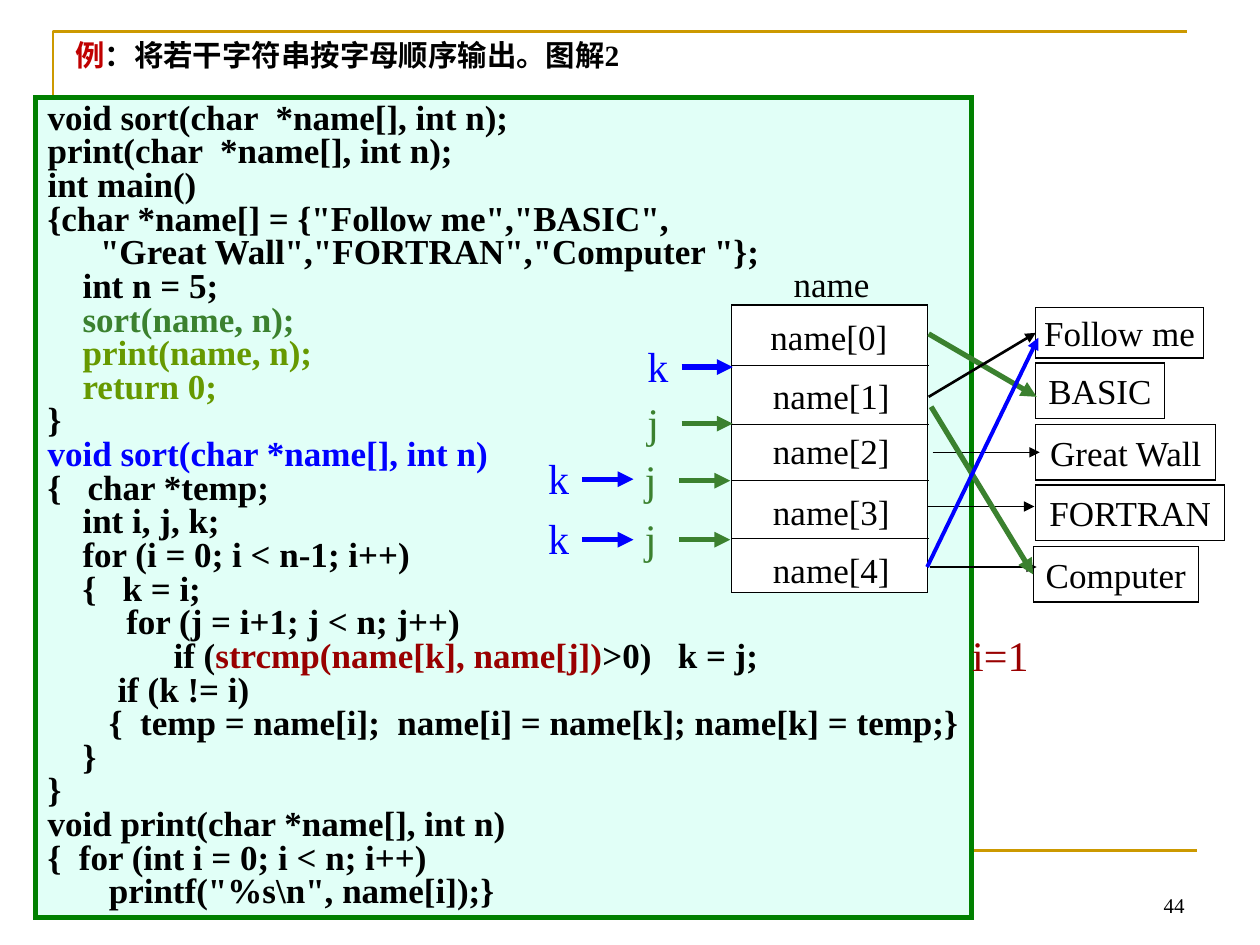
from typing import NamedTuple

from lxml import etree
from pptx import Presentation
from pptx.dml.color import RGBColor
from pptx.enum.shapes import MSO_CONNECTOR, MSO_SHAPE
from pptx.enum.text import MSO_ANCHOR, MSO_AUTO_SIZE, PP_ALIGN
from pptx.oxml.ns import qn
from pptx.util import Cm, Pt

STRAIGHT, RECTANGLE = MSO_CONNECTOR.STRAIGHT, MSO_SHAPE.RECTANGLE
TOP, MIDDLE, BOTTOM = MSO_ANCHOR.TOP, MSO_ANCHOR.MIDDLE, MSO_ANCHOR.BOTTOM
LEFT, CENTER, RIGHT = PP_ALIGN.LEFT, PP_ALIGN.CENTER, PP_ALIGN.RIGHT
NO_FIT = MSO_AUTO_SIZE.NONE
LEFT_SIDE = 1

FONT, CHINESE_FONT = "Times New Roman", "Noto Sans CJK SC"
COLORS = {
    "black": "000000", "white": "FFFFFF", "gold": "CC9900", "mint": "E1FFF7",
    "border": "008000", "green": "3B812F", "olive": "669900", "blue": "0000FF",
    "red": "990000", "title red": "C00000",
}


class Run(NamedTuple):
    text: str
    color: str = "black"


class StringBox(NamedTuple):
    text: str
    left: float
    top: float
    width: float
    height: float = 1.12


class Pointer(NamedTuple):
    """An index letter followed by a short arrow."""
    letter: str
    left: float
    top: float


class Arrow(NamedTuple):
    start: tuple[float, float]
    end: tuple[float, float]
    color: str = "black"
    weight: float = 0.75
    target: str = ""


CODE = [
    [Run("void sort(char  *name[], int n);")],
    [Run("print(char  *name[], int n);")],
    [Run("int main()")],
    [Run('{char *name[] = {"Follow me","BASIC",')],
    [Run('      "Great Wall","FORTRAN","Computer "};')],
    [Run("    int n = 5;")],
    [Run("    sort(name, n);", "green")],
    [Run("    print(name, n);", "olive")],
    [Run("    return 0;", "olive")],
    [Run("}")],
    [Run("void sort(char *name[], int n)", "blue")],
    [Run("{   char *temp;")],
    [Run("    int i, j, k;")],
    [Run("    for (i = 0; i < n-1; i++)")],
    [Run("    {   k = i;")],
    [Run("         for (j = i+1; j < n; j++)")],
    [Run("\tif ("), Run("strcmp(name[k], name[j])", "red"), Run(">0)   k = j;")],
    [Run("        if (k != i)")],
    [Run("       {  temp = name[i];  name[i] = name[k]; name[k] = temp;}")],
    [Run("    }")],
    [Run("}")],
    [Run("void print(char *name[], int n)")],
    [Run("{  for (int i = 0; i < n; i++)")],
    [Run('       printf("%s\\n", name[i]);}')],
]
TITLE = [[Run("例", "title red"), Run("：将若干字符串按字母顺序输出。图解2")]]
ROW_LINES = [7.37, 8.56, 9.68, 10.85]
ROW_LABEL_TOPS = [6.22, 7.42, 8.53, 9.75, 10.92]
STRING_BOXES = [
    StringBox("Follow me", 20.88, 6.2, 3.38, 1.02),
    StringBox("BASIC", 20.88, 7.32, 2.59),
    StringBox("Great Wall", 20.88, 8.56, 3.63),
    StringBox("FORTRAN", 20.88, 9.78, 3.81),
    StringBox("Computer", 20.83, 11.02, 3.33),
]
POINTER_COLORS = {"k": "blue", "j": "green"}
POINTERS = [
    Pointer("k", 12.8, 6.73), Pointer("k", 10.8, 8.99), Pointer("j", 12.8, 7.87),
    Pointer("j", 12.75, 9.02), Pointer("j", 12.75, 10.21), Pointer("k", 10.8, 10.21),
]
ARROWS = [
    Arrow((18.8, 9.12), (20.96, 9.12)),
    Arrow((18.69, 10.21), (20.85, 10.21)),
    Arrow((18.75, 11.43), (20.9, 11.43)),
    Arrow((18.72, 6.73), (20.9, 8), "green", 3),
    Arrow((18.72, 8), (20.88, 6.71), "black", 1.5, "Follow me"),
    Arrow((18.77, 8.2), (20.83, 11.58), "green", 3, "Computer"),
    Arrow((18.69, 11.43), (20.93, 6.81), "blue", 2.25),
]


def rgb(name: str) -> RGBColor:
    return RGBColor.from_string(COLORS[name])


def add_tab_stop(paragraph, position: float):
    tabs = etree.SubElement(paragraph._p.get_or_add_pPr(), qn("a:tabLst"))
    etree.SubElement(tabs, qn("a:tab"), pos=str(Cm(position)), algn="l")


def write_text(shape, lines, *, size=20, bold=False, align=LEFT, anchor=TOP,
               spacing=None, wrap=False):
    """Write one paragraph for each list of runs."""
    frame = shape.text_frame
    frame.word_wrap, frame.auto_size = wrap, NO_FIT
    frame.vertical_anchor = anchor
    for index, runs in enumerate(lines):
        paragraph = frame.add_paragraph() if index else frame.paragraphs[0]
        paragraph.alignment = align
        paragraph.line_spacing = spacing
        if runs[0].text.startswith("\t"):
            add_tab_stop(paragraph, 2.54)
        for text, color in runs:
            run = paragraph.add_run()
            run.text = text
            font = run.font
            font.name, font.size, font.bold = FONT, Pt(size), bold
            font.color.rgb = rgb(color)
            properties = run._r.get_or_add_rPr()
            etree.SubElement(properties, qn("a:ea"), typeface=CHINESE_FONT)


def add_text(shapes, lines, left, top, width, height, **text_format):
    box = shapes.add_textbox(Cm(left), Cm(top), Cm(width), Cm(height))
    write_text(box, lines, **text_format)


def add_rectangle(shapes, left, top, width, height, fill=None, line="black", weight=0.75):
    shape = shapes.add_shape(RECTANGLE, Cm(left), Cm(top), Cm(width), Cm(height))
    shape.shadow.inherit = False
    if fill:
        shape.fill.solid()
        shape.fill.fore_color.rgb = rgb(fill)
    else:
        shape.fill.background()
    shape.line.color.rgb = rgb(line)
    shape.line.width = Pt(weight)
    etree.SubElement(shape.line._get_or_add_ln(), qn("a:miter"), lim="800000")
    return shape


def add_line(shapes, start, end, color="black", weight=0.75, arrow=False):
    line = shapes.add_connector(STRAIGHT, *map(Cm, (*start, *end)))
    line.line.color.rgb = rgb(color)
    line.line.width = Pt(weight)
    if arrow:
        etree.SubElement(line.line._get_or_add_ln(), qn("a:tailEnd"), type="triangle")
    etree.SubElement(line._element.spPr, qn("a:effectLst"))
    return line


def add_pointer(shapes, pointer: Pointer):
    group = shapes.add_group_shape().shapes
    letter, left, top = pointer
    color = POINTER_COLORS[letter]
    x, y = left + 0.94, top + 0.67
    add_line(group, (x, y), (x + 1.03, y), color, 3, arrow=True)
    width = 0.91 if letter == "k" else 0.74
    add_text(group, [[Run(letter, color)]], left, top, width, 1.27, size=24)


def add_corner_rule(shapes):
    builder = shapes.build_freeform(Cm(1.07), Cm(2.34))
    builder.add_line_segments([(Cm(1.07), Cm(0.64)), (Cm(23.93), Cm(0.64))], close=False)
    rule = builder.convert_to_shape()
    rule.shadow.inherit = False
    rule.fill.background()
    rule.line.color.rgb = rgb("gold")
    rule.line.width = Pt(1.5)


def main():
    presentation = Presentation()
    presentation.slide_width, presentation.slide_height = Cm(25.4), Cm(19.05)
    slide = presentation.slides.add_slide(presentation.slide_layouts[6])
    shapes = slide.shapes

    add_corner_rule(shapes)
    add_line(shapes, (1.27, 17.15), (24.13, 17.15), "gold", 1.5)
    add_text(shapes, [[Run("44")]], 18.21, 17.35, 5.92, 1.27, size=12,
             align=RIGHT, anchor=BOTTOM, wrap=True)
    code = add_rectangle(shapes, 0.71, 1.96, 18.87, 16.54, "mint", "border", 3)
    code.text_frame.margin_right = Cm(0)
    write_text(code, CODE, bold=True, spacing=0.8, wrap=True)

    add_rectangle(shapes, 14.74, 6.15, 3.96, 5.79, "white")
    for y in ROW_LINES:
        add_line(shapes, (14.74, y), (18.72, y))
    for index, top in enumerate(ROW_LABEL_TOPS):
        add_text(shapes, [[Run(f"name[{index}]")]], 15.24 if index else 15.19, top,
                 3.04, 1.12, align=CENTER, anchor=MIDDLE)
    add_text(shapes, [[Run("name")]], 15.75, 5.16, 2.03, 1.12, align=CENTER, anchor=MIDDLE)

    string_shapes = {}
    for text, *place in STRING_BOXES:
        shape = add_rectangle(shapes, *place)
        write_text(shape, [[Run(text)]], align=CENTER, anchor=MIDDLE)
        string_shapes[text] = shape
    for pointer in POINTERS:
        add_pointer(shapes, pointer)
    add_text(shapes, [[Run("i=1", "red")]], 19.35, 12.57, 1.8, 1.27, size=24, wrap=True)
    for start, end, color, weight, target in ARROWS:
        line = add_line(shapes, start, end, color, weight, arrow=True)
        if target:
            line.end_connect(string_shapes[target], LEFT_SIDE)

    add_text(shapes, TITLE, 1.27, 0.76, 22.86, 1.04, size=16.8, bold=True,
             spacing=0.8, wrap=True)
    presentation.save("out.pptx")


if __name__ == "__main__":
    main()
